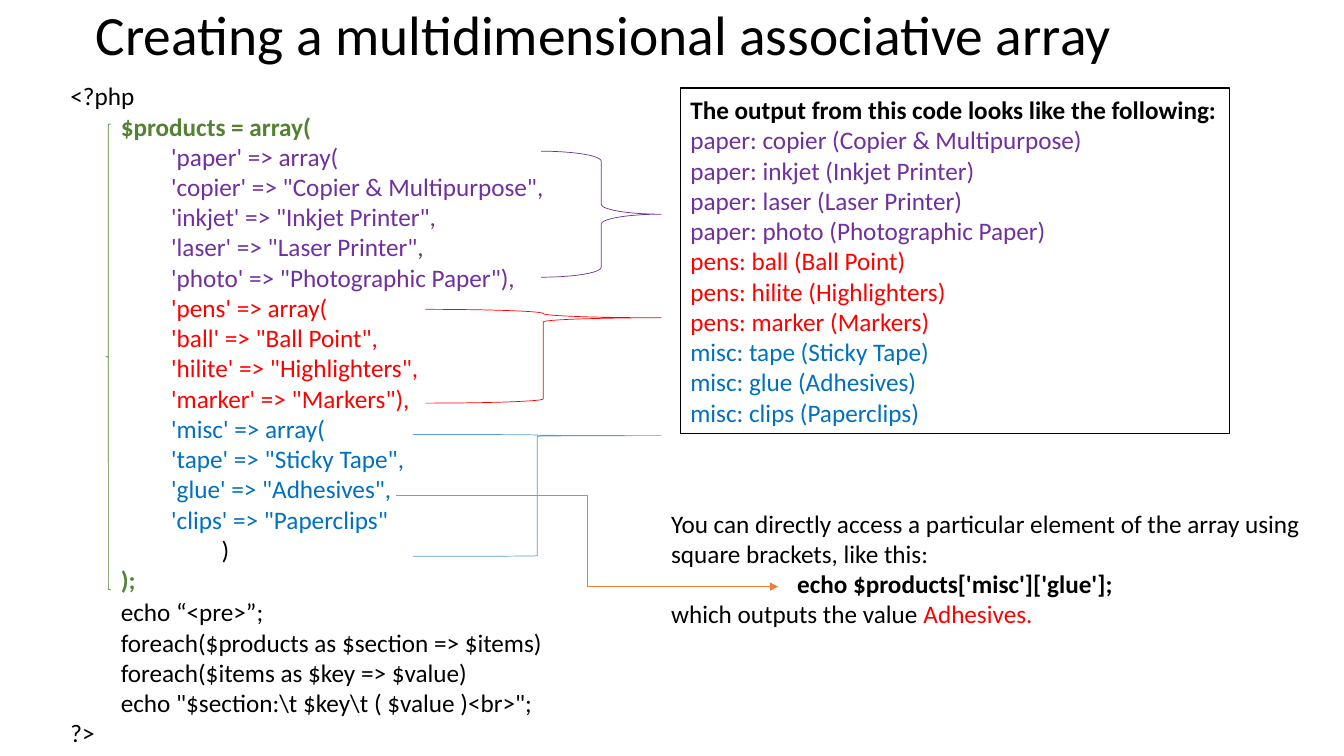
"""Build the slide on multidimensional associative arrays."""
from pptx import Presentation
from pptx.dml.color import RGBColor
from pptx.enum import shapes as sh, text as tx
from pptx.oxml import ns
from pptx.util import Pt
from lxml import etree

BLACK, GREEN, PURPLE = "000000", "548235", "7030A0"
RED, BLUE, SKY, ORANGE = "FF0000", "0070C0", "5B9BD5", "ED7D31"
FONT = "Calibri"
TITLE = "Creating a multidimensional associative array"

# Each group: indent level, colour, bold, lines
CODE = [
    (0, BLACK, False, ["<?php"]),
    (1, GREEN, True, ["$products = array("]),
    (2, PURPLE, False, [
        "'paper' => array(",
        "'copier' => \"Copier & Multipurpose\",",
        "'inkjet' => \"Inkjet Printer\",",
        "'laser' => \"Laser Printer\",",
        "'photo' => \"Photographic Paper\"),"]),
    (2, RED, False, [
        "'pens' => array(",
        "'ball' => \"Ball Point\",",
        "'hilite' => \"Highlighters\",",
        "'marker' => \"Markers\"),"]),
    (2, BLUE, False, [
        "'misc' => array(",
        "'tape' => \"Sticky Tape\",",
        "'glue' => \"Adhesives\",",
        "'clips' => \"Paperclips\""]),
    (3, BLACK, False, [")"]),
    (1, GREEN, True, [");"]),
]
LOOP = [
    (1, BLACK, False, [
        "echo “<pre>”;",
        "foreach($products as $section => $items)",
        "foreach($items as $key => $value)",
        r'echo "$section:\t $key\t ( $value )<br>";']),
    (0, BLACK, False, ["?>"]),
]
OUTPUT = [
    (0, BLACK, True, ["The output from this code looks like the following:"]),
    (0, PURPLE, False, [
        "paper: copier (Copier & Multipurpose)",
        "paper: inkjet (Inkjet Printer)",
        "paper: laser (Laser Printer)",
        "paper: photo (Photographic Paper)"]),
    (0, RED, False, [
        "pens: ball (Ball Point)",
        "pens: hilite (Highlighters)",
        "pens: marker (Markers)"]),
    (0, BLUE, False, [
        "misc: tape (Sticky Tape)",
        "misc: glue (Adhesives)",
        "misc: clips (Paperclips)"]),
]
# Each paragraph: left indent, runs of text, colour, bold
ACCESS = [
    (0, [("You can directly access a particular element of the array using "
          "square brackets, like this:", BLACK, False)]),
    (90, [("echo $products['misc']['glue'];", BLACK, True)]),
    (0, [("which outputs the value ", BLACK, False),
         ("Adhesives.", RED, False)]),
]
LEFT, RIGHT = sh.MSO_SHAPE.LEFT_BRACE, sh.MSO_SHAPE.RIGHT_BRACE
BRACES = [
    (LEFT, (75.6, 88.6, 3.6, 332.6), GREEN, 0.5),
    (RIGHT, (386.6, 108, 85.7, 90), PURPLE, 0.5),
    (RIGHT, (303.8, 221, 168.5, 67), RED, 0.09),
    (RIGHT, (295.2, 310.3, 177.1, 87.1), SKY, 0.01),
]


def rgb(code):
    return RGBColor.from_string(code)


def add_run(para, words, color=BLACK, bold=False, size=18):
    run = para.add_run()
    run.text = words
    font = run.font
    font.name, font.size, font.bold = FONT, Pt(size), bold
    font.color.rgb = rgb(color)


def new_para(frame):
    first = frame.paragraphs[0]
    para = frame.add_paragraph() if first.runs else first
    para.alignment = tx.PP_ALIGN.LEFT
    return para


def fill_code(frame, groups):
    for level, color, bold, lines in groups:
        for line in lines:
            para = new_para(frame)
            para.level = level
            add_run(para, line, color, bold)


def add_box(slide, *area):
    frame = slide.shapes.add_textbox(*map(Pt, area)).text_frame
    frame.word_wrap = True
    return frame


def add_shape(slide, kind, area, color, width):
    shape = slide.shapes.add_shape(kind, *map(Pt, area))
    shape.shadow.inherit = False
    shape.line.color.rgb = rgb(color)
    shape.line.width = Pt(width)
    return shape


def add_arrow(slide, x1, y1, x2, y2):
    arrow = slide.shapes.add_connector(
        sh.MSO_CONNECTOR.ELBOW, *map(Pt, (x1, y1, x2, y2)))
    arrow.line.color.rgb = rgb(ORANGE)
    arrow.line.width = Pt(0.5)
    props = arrow._element.spPr
    line = props.find(ns.qn("a:ln"))
    etree.SubElement(line, ns.qn("a:tailEnd"), type="triangle")
    etree.SubElement(props, ns.qn("a:effectLst"))


def main():
    deck = Presentation()
    deck.slide_width, deck.slide_height = Pt(960), Pt(540)
    slide = deck.slides.add_slide(deck.slide_layouts.get_by_name("Title Only"))

    title = slide.shapes.title
    title.left, title.top, title.width, title.height = map(
        Pt, (61.2, 0, 828, 54))
    frame = title.text_frame
    frame.auto_size = tx.MSO_AUTO_SIZE.NONE
    frame.vertical_anchor = tx.MSO_ANCHOR.MIDDLE
    para = new_para(frame)
    para.line_spacing = 0.9
    add_run(para, TITLE, size=39.6)

    fill_code(add_box(slide, 43.2, 54, 480, 378), CODE)
    for kind, area, color, point in BRACES:
        brace = add_shape(slide, kind, area, color, 0.5)
        brace.fill.background()
        brace.adjustments[1] = point
    fill_code(add_box(slide, 43.2, 422.6, 480, 116.6), LOOP)

    panel = add_shape(slide, sh.MSO_SHAPE.RECTANGLE,
                      (486, 62.8, 392.4, 247), BLACK, 1)
    panel.fill.solid()
    panel.fill.fore_color.rgb = rgb("FFFFFF")
    panel.text_frame.word_wrap = True
    fill_code(panel.text_frame, OUTPUT)

    frame = add_box(slide, 472.3, 359.3, 480, 94.3)
    for indent, runs in ACCESS:
        para = new_para(frame)
        if indent:
            para._p.get_or_add_pPr().set("marL", str(Pt(indent)))
        for words, color, bold in runs:
            add_run(para, words, color, bold)
    add_arrow(slide, 283, 353.5, 555.8, 419)

    deck.save("out.pptx")


if __name__ == "__main__":
    main()
